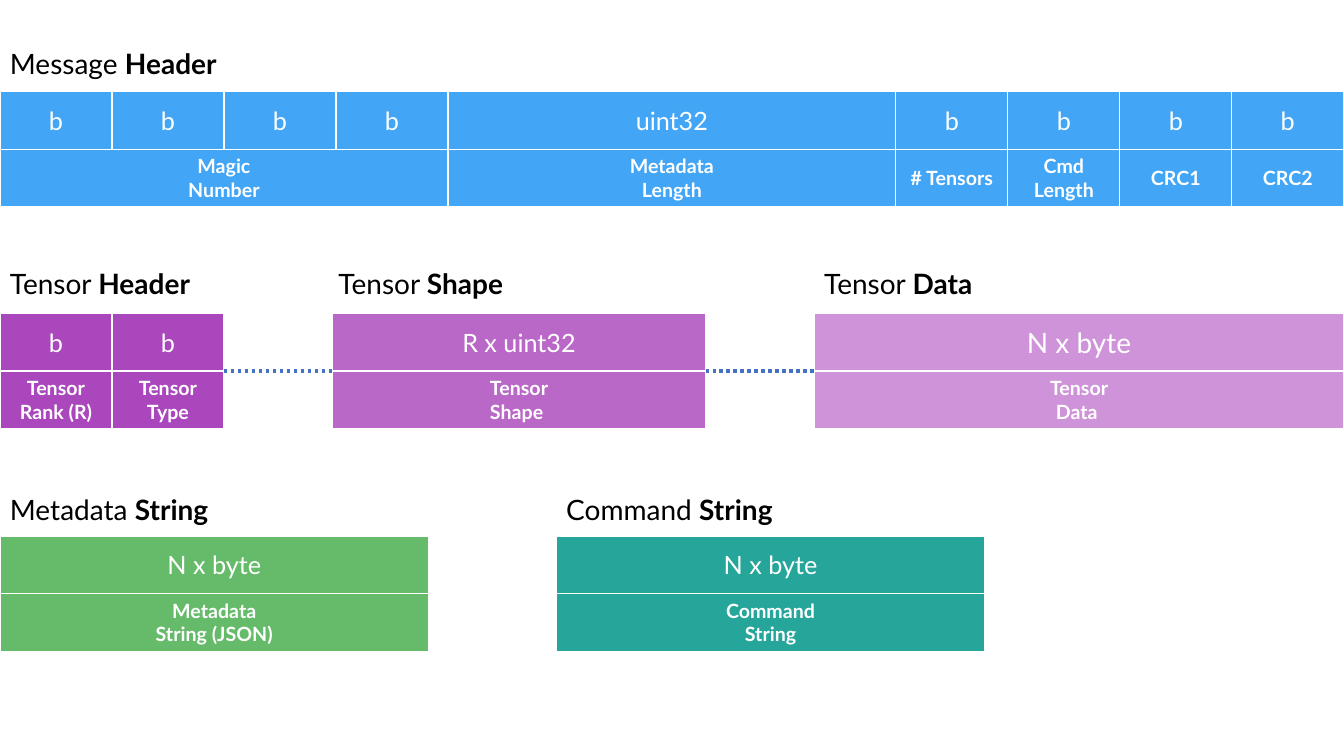
from dataclasses import dataclass
from itertools import pairwise

from lxml import etree
from pptx import Presentation
from pptx.dml.color import RGBColor
from pptx.enum.dml import MSO_LINE
from pptx.enum.shapes import MSO_CONNECTOR
from pptx.enum.text import MSO_ANCHOR, MSO_AUTO_SIZE, PP_ALIGN
from pptx.oxml.ns import qn
from pptx.util import Cm, Pt

STRAIGHT = MSO_CONNECTOR.STRAIGHT
DOTTED = MSO_LINE.ROUND_DOT
MIDDLE = MSO_ANCHOR.MIDDLE
CENTER = PP_ALIGN.CENTER
GROW = MSO_AUTO_SIZE.SHAPE_TO_FIT_TEXT

PAGE_WIDTH = 33.87
PAGE_HEIGHT = 19.05
BYTE_WIDTH = PAGE_WIDTH / 12
ROW_HEIGHT = 1.45
CAPTION_WIDTH = 6.32
CAPTION_HEIGHT = 1.11


@dataclass(frozen=True)
class Theme:
    font: str = "Lato"
    caption: str = "000000"
    cell_text: str = "FFFFFF"
    border: str = "FFFFFF"
    link: str = "4472C4"
    message: str = "42A5F5"
    tensor_header: str = "AB47BC"
    tensor_shape: str = "BA68C8"
    tensor_data: str = "CE93D8"
    metadata: str = "66BB6A"
    command: str = "26A69A"
    caption_size: int = 20
    type_size: int = 18
    large_type_size: int = 20
    label_size: int = 14
    border_width: float = 1
    link_width: float = 2.5


@dataclass(frozen=True)
class Field:
    types: tuple[str, ...]
    label: str
    width: float = BYTE_WIDTH


@dataclass(frozen=True)
class Band:
    caption_top: float
    table_top: float


@dataclass(frozen=True)
class Block:
    band: Band
    left: float
    subject: str
    content: str
    color: str
    fields: tuple[Field, ...]
    type_size: int
    caption_shift: float = 0

    @property
    def right(self) -> float:
        return self.left + sum(field.width * len(field.types) for field in self.fields)


THEME = Theme()
MESSAGE_BAND = Band(1.04, 2.31)
TENSOR_BAND = Band(6.58, 7.9)
STRING_BAND = Band(12.29, 13.51)
BYTE = ("b",)

MESSAGE_BLOCK = Block(
    MESSAGE_BAND, 0, "Message", "Header", THEME.message,
    (
        Field(BYTE * 4, "Magic\nNumber"),
        Field(("uint32",), "Metadata\nLength", BYTE_WIDTH * 4),
        Field(BYTE, "# Tensors"),
        Field(BYTE, "Cmd\nLength"),
        Field(BYTE, "CRC1"),
        Field(BYTE, "CRC2"),
    ),
    THEME.type_size,
)
TENSOR_BLOCKS = (
    Block(TENSOR_BAND, 0, "Tensor", "Header", THEME.tensor_header,
          (Field(BYTE, "Tensor\nRank (R)"), Field(BYTE, "Tensor\nType")),
          THEME.type_size),
    Block(TENSOR_BAND, 8.38, "Tensor", "Shape", THEME.tensor_shape,
          (Field(("R x uint32",), "Tensor\nShape ", 9.4),),
          THEME.type_size, caption_shift=-0.1),
    Block(TENSOR_BAND, 20.52, "Tensor", "Data", THEME.tensor_data,
          (Field(("N x byte",), "Tensor\nData ", 13.35),),
          THEME.large_type_size),
)
STRING_BLOCKS = (
    Block(STRING_BAND, 0, "Metadata", "String", THEME.metadata,
          (Field(("N x byte",), "Metadata\nString (JSON)", 10.8),),
          THEME.type_size),
    Block(STRING_BAND, 14.02, "Command", "String", THEME.command,
          (Field(("N x byte",), "Command\nString", 10.8),),
          THEME.type_size),
)


def style_span(span, size: int, color: str, bold: bool) -> None:
    span.font.name = THEME.font
    span.font.size = Pt(size)
    span.font.bold = bold
    span.font.color.rgb = RGBColor.from_string(color)


def add_borders(cell) -> None:
    properties = cell._tc.get_or_add_tcPr()
    for side in ("a:lnL", "a:lnR", "a:lnT", "a:lnB"):
        line = etree.SubElement(properties, qn(side), w=str(Pt(THEME.border_width)))
        fill = etree.SubElement(line, qn("a:solidFill"))
        etree.SubElement(fill, qn("a:srgbClr"), val=THEME.border)


def style_cell(cell, size: int, color: str, bold: bool) -> None:
    add_borders(cell)
    cell.fill.solid()
    cell.fill.fore_color.rgb = RGBColor.from_string(color)
    cell.vertical_anchor = MIDDLE
    for para in cell.text_frame.paragraphs:
        para.alignment = CENTER
        for span in para.runs:
            style_span(span, size, THEME.cell_text, bold)


def add_caption(page, block: Block) -> None:
    box = page.shapes.add_textbox(
        Cm(block.left + block.caption_shift), Cm(block.band.caption_top),
        Cm(CAPTION_WIDTH), Cm(CAPTION_HEIGHT))
    box.text_frame.word_wrap = True
    box.text_frame.auto_size = GROW
    para = box.text_frame.paragraphs[0]
    for text, bold in ((f"{block.subject} ", False), (block.content, True)):
        span = para.add_run()
        span.text = text
        style_span(span, THEME.caption_size, THEME.caption, bold)


def add_field_table(page, block: Block) -> None:
    count = sum(len(field.types) for field in block.fields)
    table = page.shapes.add_table(
        2, count, Cm(block.left), Cm(block.band.table_top),
        Cm(block.right - block.left), Cm(ROW_HEIGHT * 2)).table
    start = 0
    for field in block.fields:
        end = start + len(field.types)
        for column, type_name in enumerate(field.types, start):
            table.columns[column].width = Cm(field.width)
            table.cell(0, column).text = type_name
        table.cell(1, start).text = field.label
        if end - start > 1:
            table.cell(1, start).merge(table.cell(1, end - 1))
        start = end
    for column in range(count):
        style_cell(table.cell(0, column), block.type_size, block.color, False)
        style_cell(table.cell(1, column), THEME.label_size, block.color, True)


def add_link(page, source: Block, target: Block) -> None:
    middle = Cm(source.band.table_top + ROW_HEIGHT)
    link = page.shapes.add_connector(
        STRAIGHT, Cm(source.right), middle, Cm(target.left), middle)
    link.line.color.rgb = RGBColor.from_string(THEME.link)
    link.line.width = Pt(THEME.link_width)
    link.line.dash_style = DOTTED
    etree.SubElement(link._element.spPr, qn("a:effectLst"))


deck = Presentation()
deck.slide_width = Cm(PAGE_WIDTH)
deck.slide_height = Cm(PAGE_HEIGHT)
page = deck.slides.add_slide(deck.slide_layouts[6])
for block in (MESSAGE_BLOCK, *TENSOR_BLOCKS, *STRING_BLOCKS):
    add_field_table(page, block)
    add_caption(page, block)
for source, target in pairwise(TENSOR_BLOCKS):
    add_link(page, source, target)
deck.save("out.pptx")
